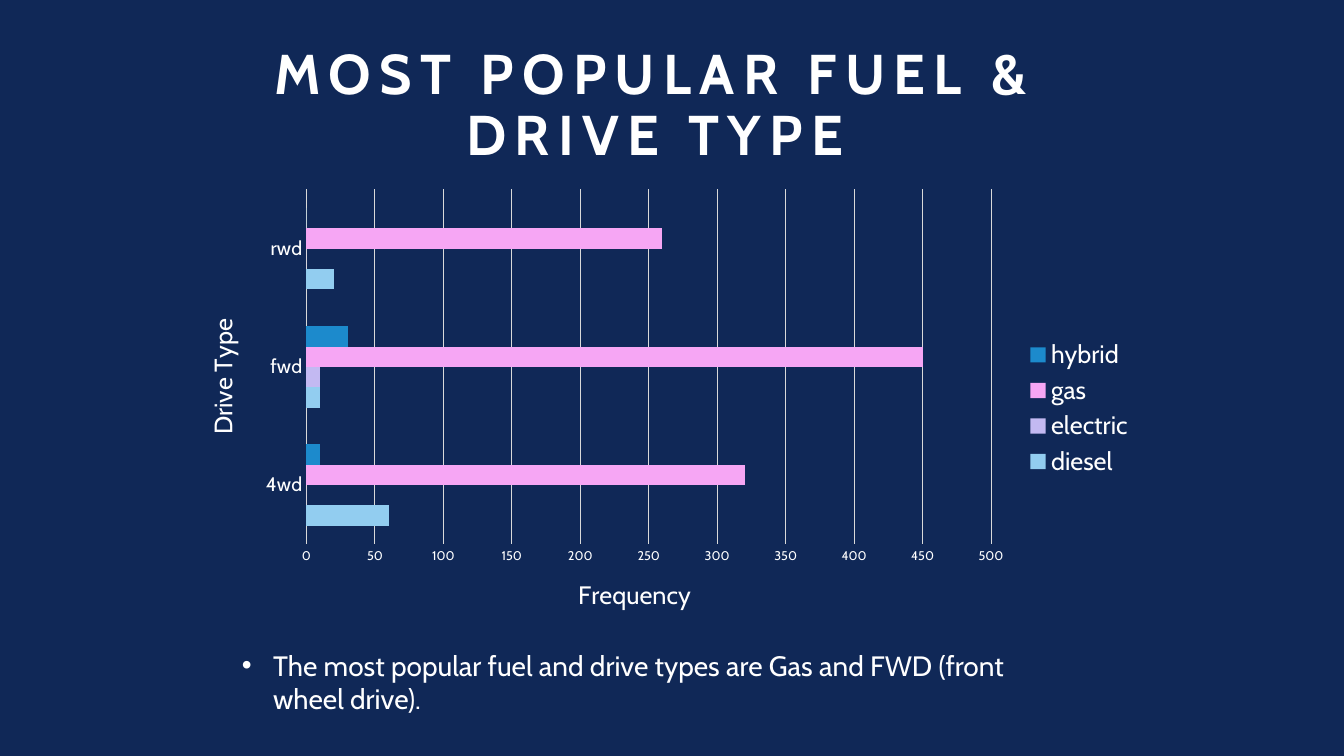
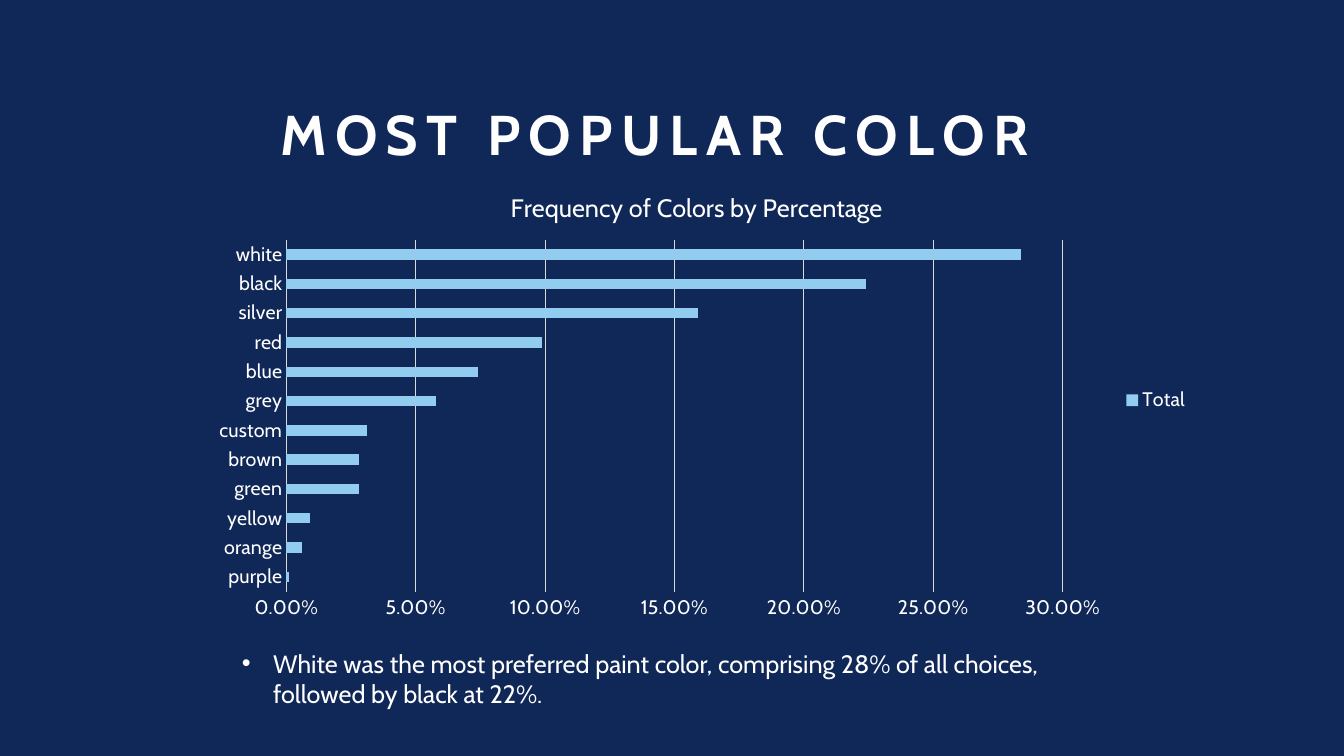
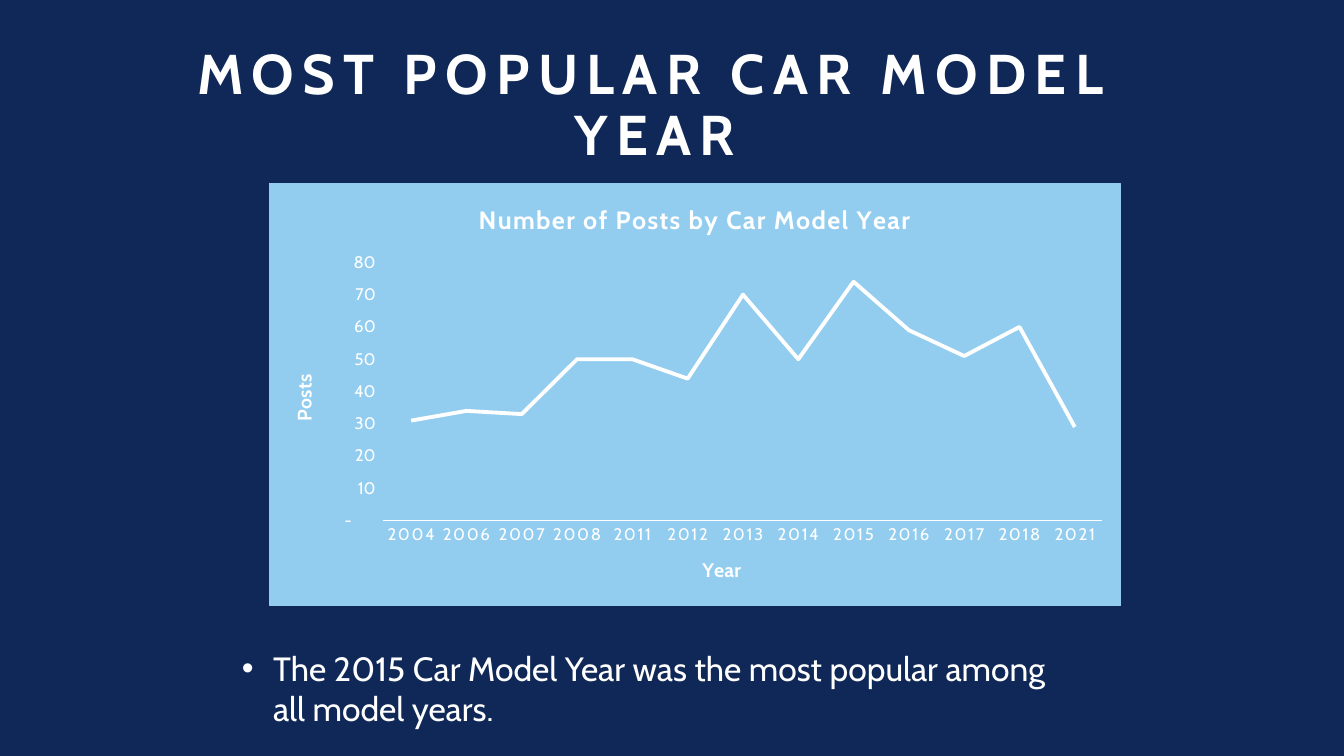
"""Build three slides on the most popular car features."""
from dataclasses import dataclass
from typing import Optional

import lxml.etree
import pptx
import pptx.chart.data
import pptx.dml.color
import pptx.enum.chart
import pptx.enum.text
import pptx.oxml
import pptx.oxml.ns
import pptx.util

Inches = pptx.util.Inches
Pt = pptx.util.Pt
RGBColor = pptx.dml.color.RGBColor
ChartType = pptx.enum.chart.XL_CHART_TYPE
qn = pptx.oxml.ns.qn

NAVY = RGBColor(0x10, 0x28, 0x57)
WHITE = RGBColor(0xFF, 0xFF, 0xFF)
GREY = RGBColor(0xD9, 0xD9, 0xD9)
SKY = RGBColor(0x92, 0xCD, 0xF0)
LILAC = RGBColor(0xC3, 0xB9, 0xF2)
PINK = RGBColor(0xF6, 0xA6, 0xF4)
BLUE = RGBColor(0x1C, 0x8A, 0xCC)
FONT = "Cabin"
ACCOUNTING = r'_(* #,##0_);_(* \(#,##0\);_(* "-"??_);_(@_)'


@dataclass(frozen=True)
class Box:
    left: float
    top: float
    width: float
    height: float


@dataclass(frozen=True)
class Label:
    text: str
    left: float
    top: float
    size: int = 18
    bold: bool = False
    upright: bool = False
    spacing: int = 0


@dataclass(frozen=True)
class Series:
    name: str
    values: tuple[float, ...]
    color: RGBColor


@dataclass(frozen=True)
class Graph:
    kind: ChartType
    frame: Box
    plot: Box
    categories: tuple[str, ...]
    series: tuple[Series, ...]
    maximum: float
    step: float
    category_size: int
    value_size: int
    number_format: str = "General"
    legend_size: int = 0
    title: Optional[Label] = None
    category_title: Optional[Label] = None
    value_title: Optional[Label] = None


@dataclass(frozen=True)
class Topic:
    title: str
    finding: str
    finding_size: int
    finding_height: float
    graph: Graph


TOPICS = (
    Topic(
        "MOST POPULAR FUEL & DRIVE TYPE",
        "The most popular fuel and drive types are Gas and FWD (front wheel drive).",
        20, 0.77,
        Graph(
            ChartType.BAR_CLUSTERED, Box(1.81, 1.79, 9.54, 4.52), Box(3.04, 1.88, 6.79, 3.52),
            ("4wd", "fwd", "rwd"),
            (
                Series("diesel", (60, 10, 20), SKY),
                Series("electric", (0, 10, 0), LILAC),
                Series("gas", (320, 450, 260), PINK),
                Series("hybrid", (10, 30, 0), BLUE),
            ),
            500, 50, 14, 9, legend_size=18,
            category_title=Label("Drive Type", 1.99, 3.12, upright=True),
            value_title=Label("Frequency", 5.69, 5.68),
        ),
    ),
    Topic(
        "MOST POPULAR COLOR",
        "White was the most preferred paint color, comprising 28% of all choices, "
        "followed by black at 22%.",
        18, 0.71,
        Graph(
            ChartType.BAR_CLUSTERED, Box(1.98, 1.7, 9.92, 4.54), Box(2.84, 2.38, 7.7, 3.49),
            ("purple", "orange", "yellow", "green", "brown", "custom",
             "grey", "blue", "red", "silver", "black", "white"),
            (Series("Total", (0.001, 0.006, 0.009, 0.028, 0.028, 0.031,
                              0.058, 0.074, 0.099, 0.159, 0.224, 0.284), SKY),),
            0.3, 0.05, 14, 14, "0.00%", legend_size=14,
            title=Label("Frequency of Colors by Percentage", 5.02, 1.84),
        ),
    ),
    Topic(
        "MOST POPULAR CAR MODEL YEAR",
        "The 2015 Car Model Year was the most popular among all model years.",
        24, 0.91,
        Graph(
            ChartType.LINE, Box(2.67, 1.82, 8.45, 4.19), Box(3.8, 2.6, 7.14, 2.57),
            ("2004", "2006", "2007", "2008", "2011", "2012", "2013",
             "2014", "2015", "2016", "2017", "2018", "2021"),
            (Series("Series 1", (31, 34, 33, 50, 50, 44, 70, 50, 74, 59, 51, 60, 29), WHITE),),
            80, 10, 12, 12, ACCOUNTING,
            title=Label("Number of Posts by Car Model Year", 4.7, 1.96, bold=True, spacing=100),
            category_title=Label("Year", 6.93, 5.49, 14, True),
            value_title=Label("Posts", 2.84, 3.68, 14, True, True),
        ),
    ),
)


def lengths(box: Box) -> tuple[int, ...]:
    """Return the box as left, top, width and height."""
    return Inches(box.left), Inches(box.top), Inches(box.width), Inches(box.height)


def style_font(font, size: int, bold: bool = False) -> None:
    """Apply the shared typeface and text colour."""
    font.name, font.size, font.bold = FONT, Pt(size), bold
    font.color.rgb = WHITE


def pin(parent, index: int, frame: Box, left: float, top: float,
        size: Optional[tuple[float, float]] = None) -> None:
    """Fix a chart part at a place on the slide."""
    for old in parent.findall(qn("c:layout")):
        parent.remove(old)
    layout = pptx.oxml.parse_xml(f"<c:layout {pptx.oxml.ns.nsdecls('c')}/>")
    manual = lxml.etree.SubElement(layout, qn("c:manualLayout"))
    settings = {"xMode": "edge", "yMode": "edge",
                "x": (left - frame.left) / frame.width,
                "y": (top - frame.top) / frame.height}
    if size:
        settings = {"layoutTarget": "inner", **settings,
                    "w": size[0] / frame.width, "h": size[1] / frame.height}
    for name, value in settings.items():
        lxml.etree.SubElement(manual, qn(f"c:{name}")).set("val", str(value))
    parent.insert(index, layout)


def write_label(title, label: Label, frame: Box) -> None:
    """Write and place a chart or axis title."""
    title.text_frame.text = label.text
    para = title.text_frame.paragraphs[0]
    style_font(para.font, label.size, label.bold)
    for body in title.element.iter(qn("a:bodyPr")):
        body.set("rot", "-5400000" if label.upright else "0")
        body.set("vert", "horz")
    for properties in title.element.iter(qn("a:defRPr")):
        properties.set("spc", str(label.spacing))
    pin(title.element, 1, frame, label.left, label.top)


def style_axis(axis, size: int, label: Optional[Label], frame: Box) -> None:
    """Format what both axes share."""
    axis.major_tick_mark = axis.minor_tick_mark = pptx.enum.chart.XL_TICK_MARK.NONE
    style_font(axis.tick_labels.font, size)
    axis.has_title = label is not None
    if label:
        write_label(axis.axis_title, label, frame)


def style_line_graph(chart) -> None:
    """Give the line chart its panel, stroke and letter spacing."""
    panel = pptx.oxml.parse_xml(
        f"<c:spPr {pptx.oxml.ns.nsdecls('c', 'a')}>"
        f'<a:solidFill><a:srgbClr val="{SKY}"/></a:solidFill>'
        f'<a:ln w="9525"><a:solidFill><a:srgbClr val="{SKY}"/></a:solidFill></a:ln></c:spPr>')
    chart.element.find(qn("c:chart")).addnext(panel)
    for properties in chart.element.xpath(".//c:catAx/c:txPr//a:defRPr"):
        properties.set("spc", "120")
    for line in chart.plots[0].series:
        line.smooth = False
        line.marker.style = pptx.enum.chart.XL_MARKER_STYLE.NONE
        line.format.line.width = Pt(2.75)


def add_graph(page, graph: Graph) -> None:
    """Add a bar or line chart."""
    data = pptx.chart.data.CategoryChartData(number_format=graph.number_format)
    data.categories = graph.categories
    for series in graph.series:
        data.add_series(series.name, series.values)
    chart = page.shapes.add_chart(graph.kind, *lengths(graph.frame), data).chart
    style_font(chart.font, 10)
    is_line = graph.kind == ChartType.LINE

    chart.has_title = graph.title is not None
    if graph.title:
        write_label(chart.chart_title, graph.title, graph.frame)
    chart.has_legend = graph.legend_size > 0
    if chart.has_legend:
        chart.legend.position = pptx.enum.chart.XL_LEGEND_POSITION.RIGHT
        chart.legend.include_in_layout = False
        style_font(chart.legend.font, graph.legend_size)

    category_axis, value_axis = chart.category_axis, chart.value_axis
    style_axis(category_axis, graph.category_size, graph.category_title, graph.frame)
    style_axis(value_axis, graph.value_size, graph.value_title, graph.frame)
    category_axis.format.line.color.rgb = WHITE if is_line else GREY
    category_axis.format.line.width = Pt(1 if is_line else 0.75)
    value_axis.format.line.fill.background()
    value_axis.minimum_scale, value_axis.maximum_scale = 0, graph.maximum
    value_axis.major_unit = graph.step
    value_axis.tick_labels.number_format = graph.number_format
    value_axis.tick_labels.number_format_is_linked = False
    value_axis.has_major_gridlines = not is_line
    if not is_line:
        value_axis.major_gridlines.format.line.color.rgb = GREY
        value_axis.major_gridlines.format.line.width = Pt(0.75)

    plot = chart.plots[0]
    plot.vary_by_categories = False
    for drawn, series in zip(plot.series, graph.series):
        if is_line:
            drawn.format.line.color.rgb = series.color
        else:
            drawn.format.fill.solid()
            drawn.format.fill.fore_color.rgb = series.color
    if is_line:
        style_line_graph(chart)
    else:
        plot.gap_width, plot.overlap = 182, 0
    area = chart.element.find(f".//{qn('c:plotArea')}")
    pin(area, 0, graph.frame, graph.plot.left, graph.plot.top,
        (graph.plot.width, graph.plot.height))


def write_title(page, text: str) -> None:
    """Fill and format the title placeholder."""
    title = page.shapes.title
    title.left, title.top, title.width, title.height = lengths(Box(1.64, 0.54, 9.71, 1.17))
    frame = title.text_frame
    frame.text = text
    frame.word_wrap = True
    frame.auto_size = pptx.enum.text.MSO_AUTO_SIZE.NONE
    frame.vertical_anchor = pptx.enum.text.MSO_ANCHOR.BOTTOM
    para = frame.paragraphs[0]
    para.alignment = pptx.enum.text.PP_ALIGN.CENTER
    para.line_spacing = 0.9
    style_font(para.font, 40, True)
    for properties in title.element.iter(qn("a:defRPr")):
        properties.set("spc", "600")


def add_finding(page, topic: Topic) -> None:
    """Add the bulleted finding below the chart."""
    box = page.shapes.add_textbox(*lengths(Box(2.3, 6.38, 8.31, topic.finding_height)))
    frame = box.text_frame
    frame.word_wrap = True
    frame.auto_size = pptx.enum.text.MSO_AUTO_SIZE.SHAPE_TO_FIT_TEXT
    para = frame.paragraphs[0]
    para.text = topic.finding
    style_font(para.font, topic.finding_size)
    for properties in box.element.iter(qn("a:pPr")):
        properties.set("marL", str(Inches(0.31)))
        properties.set("indent", str(Inches(-0.31)))
        bullet = lxml.etree.Element(qn("a:buChar"), char="•")
        properties.insert(0, bullet)
        bullet.addprevious(lxml.etree.Element(qn("a:buFont"), typeface="Arial"))


def main() -> None:
    """Build and save the deck."""
    deck = pptx.Presentation()
    deck.slide_width, deck.slide_height = Inches(13.33), Inches(7.5)
    background = deck.slide_master.background.fill
    background.solid()
    background.fore_color.rgb = NAVY
    for topic in TOPICS:
        page = deck.slides.add_slide(deck.slide_layouts[5])
        write_title(page, topic.title)
        add_finding(page, topic)
        add_graph(page, topic.graph)
    deck.save("out.pptx")


if __name__ == "__main__":
    main()
